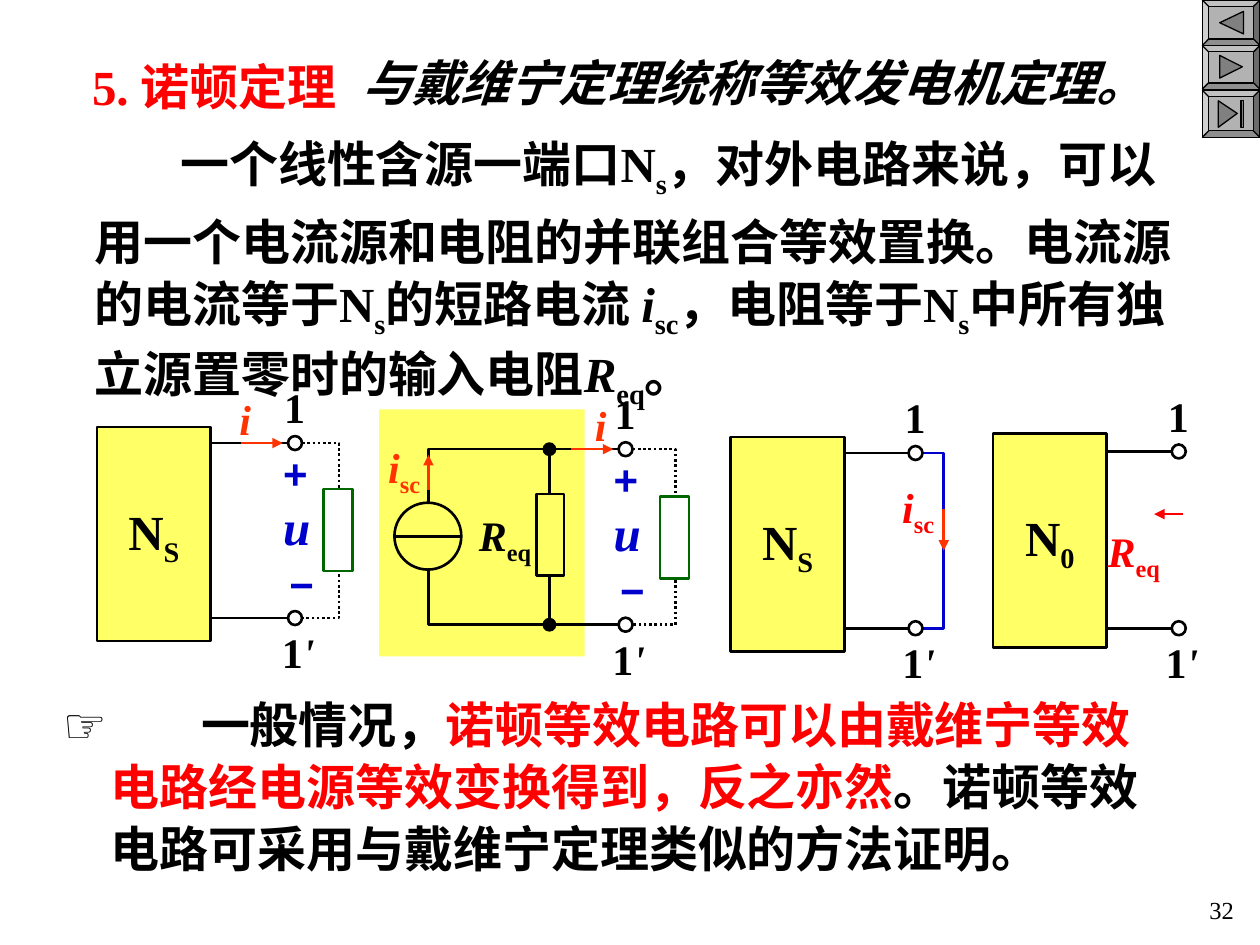
"""Build a slide on Norton's theorem with four circuit diagrams."""
import pptx
import pptx.util
import pptx.dml.color
import pptx.enum.dml
import pptx.enum.shapes
import pptx.enum.text
import pptx.oxml.ns
from lxml import etree

Pt = pptx.util.Pt
SHAPE = pptx.enum.shapes.MSO_SHAPE
ALIGN = pptx.enum.text.PP_ALIGN
ANCHOR = pptx.enum.text.MSO_ANCHOR
qn = pptx.oxml.ns.qn
HEX = {"ink": "000000", "red": "FF0000", "flame": "FF3300", "blue": "0000CC",
       "green": "006600", "yellow": "FFFF66", "white": "FFFFFF",
       "gray": "B2B2B2", "dark": "808080"}
ROMAN, SANS, HAN = "Times New Roman", "Arial", "Noto Sans CJK SC"

TITLE = [("5. 诺顿定理", "b")]
ASIDE = [("与戴维宁定理统称等效发电机定理。", "bi")]
BODY = [("一个线性含源一端口N", "b"), ("s", "b_"),
        ("，对外电路来说，可以用一个电流源和电阻的并联组合等效置换。电流源的电流等于N", "b"),
        ("s", "b_"), ("的短路电流 ", "b"), ("i", "bi"), ("sc", "b_"),
        ("，电阻等于N", "b"), ("s", "b_"), ("中所有独立源置零时的输入电阻", "b"),
        ("R", "bi"), ("eq", "b_"), ("。", "b")]
NOTE = [("一般情况，", "b"),
        ("诺顿等效电路可以由戴维宁等效电路经电源等效变换得到，反之亦然", "b", "red"),
        ("。诺顿等效电路可采用与戴维宁定理类似的方法证明。", "b")]
ISC = [("i", "bi"), ("sc", "b_")]
REQ = [("R", "bi"), ("eq", "b_")]

PORTS = [(168.6, 253.2, 353.2), (357.5, 256.7, 357), (523.2, 258.9, 359), (673.6, 258, 359)]
BOXES = [(55.4, 244, "S", 0), (417.6, 249.8, "S", 2), (567.4, 247.7, "0", 3)]
LOADS = [(0, 193.7, 279.4, -31.8), (1, 385.9, 283.7, -17.6)]
KEYS = [(0, 26, [[(697, 13), (710.6, 6.5), (710.6, 19.4)]]),
        (26, 25, [[(697, 31.7), (709.9, 38.2), (697, 44.6)]]),
        (51.5, 27, [[(707, 64.8), (696.2, 72.7), (696.2, 57.6)],
                    [(709.2, 57.6), (709.2, 72.7), (710.6, 72.7), (710.6, 57.6)]])]

deck = pptx.Presentation()
deck.slide_width, deck.slide_height = Pt(720), Pt(540)
slide = deck.slides.add_slide(deck.slide_layouts[6])
shapes = slide.shapes


def tint(name):
    return pptx.dml.color.RGBColor.from_string(HEX[name])


def paint(shape, fill=None, line=None, wide=1.5):
    shape.shadow.inherit = False
    if fill:
        shape.fill.solid()
        shape.fill.fore_color.rgb = tint(fill)
    else:
        shape.fill.background()
    if line:
        shape.line.color.rgb = tint(line)
        shape.line.width = Pt(wide)
    else:
        shape.line.fill.background()
    return shape


def block(kind, x, y, w, h, fill, line=None, wide=1.5):
    return paint(shapes.add_shape(kind, Pt(x), Pt(y), Pt(w), Pt(h)), fill, line, wide)


def dot(x, y, size, fill, wide=1.5):
    block(SHAPE.OVAL, x - size / 2, y - size / 2, size, size, fill, "ink", wide)


def outline(points, close, fill, line, wide=1.5):
    path = [(Pt(x), Pt(y)) for x, y in points]
    build = shapes.build_freeform(*path[0])
    build.add_line_segments(path[1:], close=close)
    return paint(build.convert_to_shape(), fill, line, wide)


def wire(x1, y1, x2, y2, color="ink", arrow=False):
    line = shapes.add_connector(pptx.enum.shapes.MSO_CONNECTOR.STRAIGHT,
                                Pt(x1), Pt(y1), Pt(x2), Pt(y2))
    line.line.color.rgb = tint(color)
    line.line.width = Pt(1.5)
    if arrow:
        etree.SubElement(line.line._get_or_add_ln(), qn("a:tailEnd"), type="triangle")
    etree.SubElement(line._element.spPr, qn("a:effectLst"))


def write(frame, runs, size, color, font, pitch, align=ALIGN.LEFT):
    frame.margin_left = frame.margin_right = frame.margin_top = frame.margin_bottom = 0
    para = frame.paragraphs[0]
    para.alignment = align
    para.line_spacing = Pt(pitch)
    for words, style, *own in runs:
        run = para.add_run()
        run.text = words
        run.font.name, run.font.size = font, Pt(size)
        run.font.bold, run.font.italic = "b" in style, "i" in style
        run.font.color.rgb = tint(own[0] if own else color)
        props = run._r.get_or_add_rPr()
        etree.SubElement(props, qn("a:ea"), typeface=HAN)
        if "_" in style:
            props.set("baseline", "-25000")
    return para


def prose(x, y, w, h, runs, pitch, size=28, color="ink", font=ROMAN, first=0, align=ALIGN.LEFT):
    frame = shapes.add_textbox(Pt(x), Pt(y), Pt(w), Pt(h)).text_frame
    frame.word_wrap = True
    write(frame, runs, size, color, font, pitch, align)._p.get_or_add_pPr().set(
        "indent", str(Pt(first)))


def label(x, y, runs, color="ink", size=24, font=ROMAN):
    low = any("_" in run[1] for run in runs)
    pitch = round(size * 1.22 + 5 * low, 1)
    wide = sum(len(run[0]) for run in runs) * size * 0.45
    frame = shapes.add_textbox(Pt(x), Pt(y), Pt(wide), Pt(pitch)).text_frame
    frame.word_wrap = False
    write(frame, runs, size, color, font, pitch)


def loop(x, far, top, low, color):
    return outline([(x, top), (far, top), (far, low), (x, low)], False, None, color)


def port(x, top, low):
    for y in (top, low):
        dot(x, y, 8, "white")
    label(x - 6.3, top - 35.5, [("1", "b")])
    label(x - 7.5, low + 4.4, [("1", "b"), ("'", "bi")])


def load(place, far, top, shift):
    x, high, low = PORTS[place]
    loop(x + 4, far, high, low, "ink").line.dash_style = pptx.enum.dml.MSO_LINE.ROUND_DOT
    block(SHAPE.RECTANGLE, far - 8.8, top, 16.6, 46.8, "white", "green")
    label(x - 6.8, high + 2, [("+", "b")], "blue", font=SANS)
    label(x - 3.2, high + 65.5, [("−", "b")], "blue", font=SANS)
    label(x - 6.8, high + 30, [("u", "bi")], "blue", 28)
    label(x + shift, high - 28.8, [("i", "bi")], "flame")
    wire(x - 31, high, x - 7, high, "flame", True)


def source():
    x, top, low = PORTS[1]
    block(SHAPE.RECTANGLE, 216.7, 234, 117.4, 141.1, "yellow")
    loop(x - 4, 244.8, top, low, "ink")
    block(SHAPE.OVAL, 225.4, 287.3, 38.2, 38.2, "yellow", "ink")
    wire(225, 306.7, 264, 306.7)
    wire(244.8, 280, 244.8, 260, "flame", True)
    wire(314, top, 314, low)
    block(SHAPE.RECTANGLE, 306.5, 282.2, 15.8, 46.8, "yellow", "ink")
    for y in (top, low):
        dot(314, y, 7.2, "ink", 0.75)
    label(221.8, 250.5, ISC, "flame")
    label(273.6, 289.4, REQ)


def keys():
    for top, tall, icons in KEYS:
        bevel = block(SHAPE.BEVEL, 687, top, 33, tall, "gray", "ink", 0.75)
        bevel.adjustments[0] = 0.14
        for icon in icons:
            outline(icon, True, "dark", "ink", 0.75)


def main():
    keys()
    prose(52.6, 32, 185, 34, TITLE, 34, color="red")
    prose(207.4, 29.7, 453, 34, ASIDE, 34, font=HAN)
    prose(54, 74.5, 622, 160, BODY, 40, first=49)
    source()
    for left, top, sub, place in BOXES:
        x, high, low = PORTS[place]
        for y in (high, low):
            wire(left + 65, y, x - 4, y)
        frame = block(SHAPE.RECTANGLE, left, top, 65, 122.4, "yellow", "ink").text_frame
        frame.vertical_anchor = ANCHOR.MIDDLE
        write(frame, [("N", "b"), (sub, "b_")], 28, "ink", ROMAN, 39, ALIGN.CENTER)
    for item in LOADS:
        load(*item)
    x, top, low = PORTS[2]
    loop(x + 4, 539.3, top, low, "blue")
    wire(539.3, 291, 539.3, 314.6, "flame", True)
    label(515.5, 273.6, ISC, "red")
    wire(676, 293.8, 659.5, 293.8, "red", True)
    label(632.9, 298.5, REQ, "red")
    for item in PORTS:
        port(*item)
    prose(36, 395, 28, 35.4, [("☞", "b")], 35.4, font=SANS)
    prose(63.4, 395, 607, 107, NOTE, 35.4, first=51.5)
    prose(668, 511.5, 37, 17, [("32", "")], 17, 14, align=ALIGN.RIGHT)
    deck.save("out.pptx")


if __name__ == "__main__":
    main()
